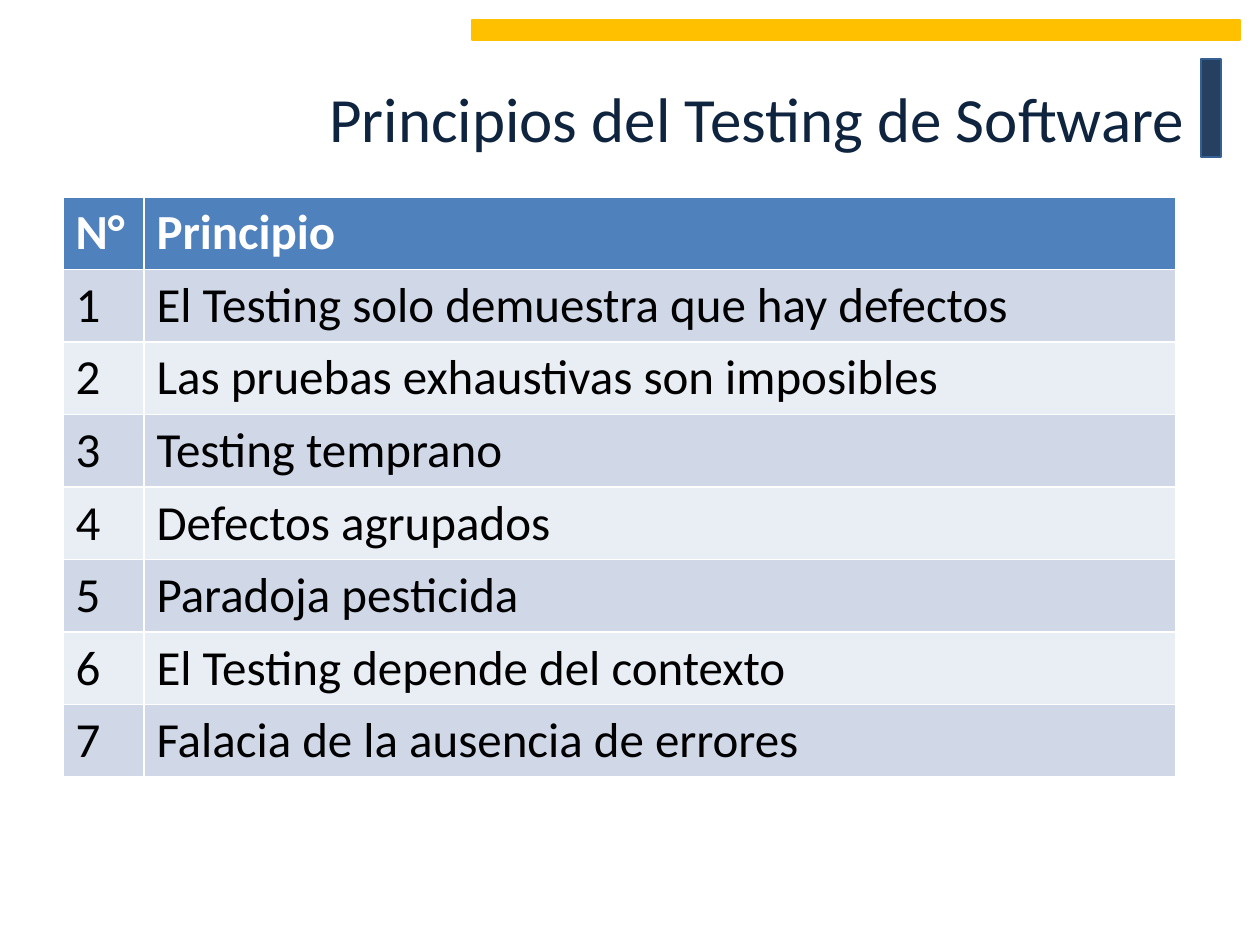
"""Build the slide that lists the seven principles of software testing."""
from pptx import Presentation
from pptx.dml.color import RGBColor
from pptx.enum.shapes import MSO_SHAPE
from pptx.enum.text import MSO_ANCHOR, PP_ALIGN
from pptx.util import Emu, Pt

NAVY = RGBColor(0x25, 0x40, 0x61)
STEEL = RGBColor(0x37, 0x60, 0x92)
AMBER = RGBColor(0xFF, 0xC0, 0x00)
INK = RGBColor(0x0F, 0x24, 0x3E)
BLACK = RGBColor(0x00, 0x00, 0x00)
WHITE = RGBColor(0xFF, 0xFF, 0xFF)
HEADER = RGBColor(0x4F, 0x81, 0xBD)
BANDS = (RGBColor(0xE9, 0xED, 0xF4), RGBColor(0xD0, 0xD8, 0xE8))

PRINCIPLES = [
    "El Testing solo demuestra que hay defectos",
    "Las pruebas exhaustivas son imposibles",
    "Testing temprano",
    "Defectos agrupados",
    "Paradoja pesticida",
    "El Testing depende del contexto",
    "Falacia de la ausencia de errores",
]


def px(n):
    return Emu(round(n * 914400 / 126))


class Deck:
    font = "Calibri"

    def __init__(self, width, height):
        self.prs = Presentation()
        self.prs.slide_width, self.prs.slide_height = px(width), px(height)
        self.s = self.prs.slides.add_slide(self.prs.slide_layouts[5])

    def style(self, p, size, color, bold=False):
        p.font.name, p.font.size, p.font.bold = self.font, Pt(size), bold
        p.font.color.rgb = color

    def bar(self, x, y, w, h, fill, line):
        sp = self.s.shapes.add_shape(MSO_SHAPE.RECTANGLE, px(x), px(y), px(w), px(h))
        sp.shadow.inherit = False
        sp.fill.solid()
        sp.fill.fore_color.rgb = fill
        sp.line.color.rgb = line
        sp.line.width = Pt(0.75)

    def title(self, x, y, w, h, text):
        sp = self.s.shapes.title
        sp.left, sp.top, sp.width, sp.height = px(x), px(y), px(w), px(h)
        tf = sp.text_frame
        tf.text = text
        tf.vertical_anchor = MSO_ANCHOR.MIDDLE
        p = tf.paragraphs[0]
        p.alignment = PP_ALIGN.RIGHT
        self.style(p, 36, INK)

    def table(self, x, y, widths, h, rows):
        frame = self.s.shapes.add_table(
            len(rows), len(widths), px(x), px(y), px(sum(widths)), px(h))
        tbl = frame.table
        for col, w in zip(tbl.columns, widths):
            col.width = px(w)
        for i, row in enumerate(rows):
            for j, text in enumerate(row):
                cell = tbl.cell(i, j)
                cell.text = text
                cell.fill.solid()
                cell.fill.fore_color.rgb = BANDS[i % 2] if i else HEADER
                self.style(cell.text_frame.paragraphs[0], 28,
                           BLACK if i else WHITE, bold=i == 0)


def main():
    deck = Deck(1260, 945)
    deck.bar(1201, 59, 20, 98, NAVY, STEEL)
    deck.bar(472, 20, 768, 20, AMBER, AMBER)
    numbered = [(str(n), text) for n, text in enumerate(PRINCIPLES, 1)]
    deck.table(63, 197, (81, 1032), 571, [("N°", "Principio"), *numbered])
    deck.title(63, 38, 1134, 158, "Principios del Testing de Software")
    deck.prs.save("out.pptx")


if __name__ == "__main__":
    main()
